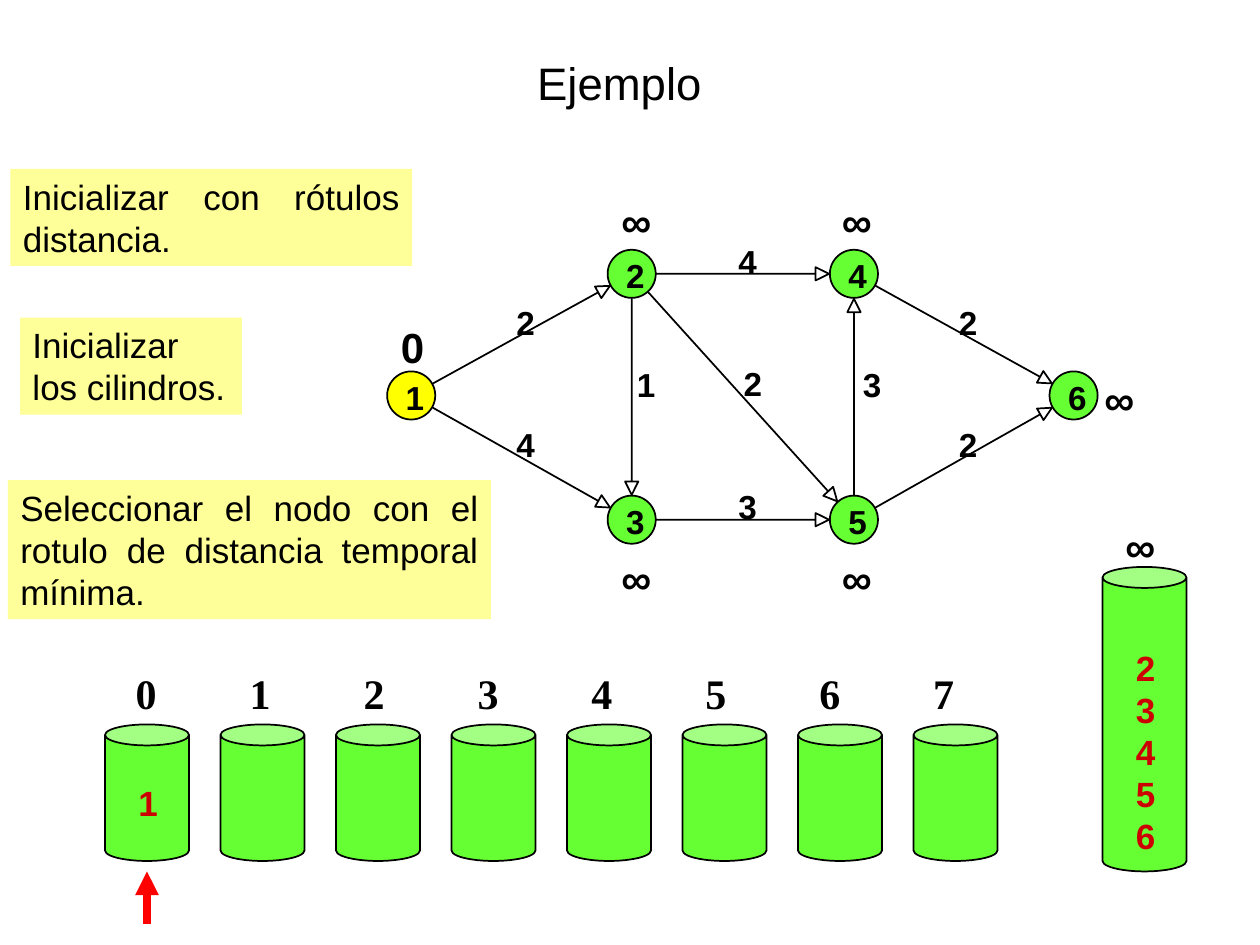
from dataclasses import dataclass
from math import hypot

from lxml.etree import SubElement
from pptx import Presentation
from pptx.dml.color import RGBColor
from pptx.enum.shapes import MSO_CONNECTOR, MSO_SHAPE
from pptx.enum.text import MSO_ANCHOR, PP_ALIGN
from pptx.oxml.ns import qn
from pptx.shapes.autoshape import Shape
from pptx.slide import Slide
from pptx.util import Pt


@dataclass(frozen=True)
class Theme:
    ink: RGBColor = RGBColor(0x00, 0x00, 0x00)
    green: RGBColor = RGBColor(0x66, 0xFF, 0x33)
    yellow: RGBColor = RGBColor(0xFF, 0xFF, 0x00)
    note: RGBColor = RGBColor(0xFF, 0xFF, 0x99)
    content: RGBColor = RGBColor(0xCC, 0x00, 0x00)
    pointer: RGBColor = RGBColor(0xFF, 0x00, 0x00)
    sans: str = "Arial"
    serif: str = "Times New Roman"
    title_size: float = 26
    distance_size: float = 24
    body_size: float = 20
    graph_size: float = 19
    outline: float = 1
    pointer_width: float = 4.5


THEME = Theme()


@dataclass(frozen=True)
class Box:
    left: float
    top: float
    width: float
    height: float

    def lengths(self) -> tuple[Pt, Pt, Pt, Pt]:
        return Pt(self.left), Pt(self.top), Pt(self.width), Pt(self.height)


@dataclass(frozen=True)
class Style:
    size: float
    bold: bool = True
    color: RGBColor = THEME.ink
    font: str = THEME.sans
    align: PP_ALIGN = PP_ALIGN.LEFT
    anchor: MSO_ANCHOR = MSO_ANCHOR.TOP
    inset: tuple[float, float] = (7.2, 3.6)
    wrap: bool = True


@dataclass(frozen=True)
class Node:
    x: float
    y: float
    distance: str
    distance_left: float
    distance_top: float
    fill: RGBColor = THEME.green


@dataclass(frozen=True)
class Edge:
    start: str
    end: str
    weight: str
    label_left: float
    label_top: float


@dataclass(frozen=True)
class Note:
    text: str
    box: Box


GRAPH_LABEL = Style(THEME.graph_size, inset=(0, 0), wrap=False)
DISTANCE = Style(THEME.distance_size)
BUCKET_NUMBER = Style(THEME.distance_size, font=THEME.serif)
BUCKET_CONTENT = Style(THEME.body_size, color=THEME.content)
NOTE = Style(THEME.body_size, bold=False, align=PP_ALIGN.JUSTIFY)
TITLE = Style(THEME.title_size, bold=False, align=PP_ALIGN.CENTER, anchor=MSO_ANCHOR.BOTTOM)

DIAMETER = 27.5
EDGE_GAP = 14.2
HEAD_LENGTH = 7.7
HEAD_HALF = 3.8

NODES = {
    "1": Node(235, 226, "0", 222, 180, THEME.yellow),
    "2": Node(361, 156.5, "∞", 348, 108),
    "3": Node(361, 297, "∞", 348, 312),
    "4": Node(488, 156.5, "∞", 474, 108),
    "5": Node(488, 297, "∞", 474, 312),
    "6": Node(613.5, 226, "∞", 624, 210),
}
EDGES = [
    Edge("1", "2", "2", 295, 173),
    Edge("2", "4", "4", 422, 138),
    Edge("2", "5", "2", 425, 207.5),
    Edge("2", "3", "1", 364, 208),
    Edge("3", "5", "3", 422, 278),
    Edge("1", "3", "4", 295, 242.5),
    Edge("4", "6", "2", 548, 173),
    Edge("5", "4", "3", 493, 208),
    Edge("5", "6", "2", 548, 242.5),
]
NOTES = [
    Note("Inicializar con rótulos distancia.", Box(6, 96.5, 229.5, 55.5)),
    Note("Inicializar los cilindros.", Box(11.5, 181.5, 126.7, 55.5)),
    Note("Seleccionar el nodo con el rotulo de distancia temporal mínima.",
         Box(4.5, 274.3, 276, 79.5)),
]


def write(shape: Shape, text: str, style: Style) -> None:
    frame = shape.text_frame
    frame.word_wrap = style.wrap
    frame.vertical_anchor = style.anchor
    frame.margin_left = frame.margin_right = Pt(style.inset[0])
    frame.margin_top = frame.margin_bottom = Pt(style.inset[1])
    frame.text = text
    paragraph = frame.paragraphs[0]
    paragraph.alignment = style.align
    paragraph.font.name = style.font
    paragraph.font.size = Pt(style.size)
    paragraph.font.bold = style.bold
    paragraph.font.color.rgb = style.color


def add_text(slide: Slide, text: str, box: Box, style: Style) -> None:
    write(slide.shapes.add_textbox(*box.lengths()), text, style)


def outline(shape: Shape) -> None:
    shape.shadow.inherit = False
    shape.line.color.rgb = THEME.ink
    shape.line.width = Pt(THEME.outline)


def add_solid(slide: Slide, kind: MSO_SHAPE, box: Box, fill: RGBColor) -> Shape:
    solid = slide.shapes.add_shape(kind, *box.lengths())
    outline(solid)
    solid.fill.solid()
    solid.fill.fore_color.rgb = fill
    return solid


def add_cylinder(slide: Slide, box: Box) -> None:
    add_solid(slide, MSO_SHAPE.CAN, box, THEME.green).adjustments[0] = 0.25


def add_note(slide: Slide, note: Note) -> None:
    panel = add_solid(slide, MSO_SHAPE.RECTANGLE, note.box, THEME.note)
    panel.line.fill.background()
    write(panel, note.text, NOTE)


def add_node(slide: Slide, name: str, node: Node) -> None:
    left, top = node.x - DIAMETER / 2, node.y - DIAMETER / 2
    add_solid(slide, MSO_SHAPE.OVAL, Box(left, top, DIAMETER, DIAMETER), node.fill)
    add_text(slide, name, Box(left + 10.6, top + 3.2, 10.8, 23), GRAPH_LABEL)
    add_text(slide, node.distance, Box(node.distance_left, node.distance_top, 30, 36), DISTANCE)


def add_edge(slide: Slide, edge: Edge) -> None:
    start, end = NODES[edge.start], NODES[edge.end]
    span = hypot(end.x - start.x, end.y - start.y)
    ux, uy = (end.x - start.x) / span, (end.y - start.y) / span

    def point(along: float, across: float = 0) -> tuple[Pt, Pt]:
        return Pt(start.x + ux * along - uy * across), Pt(start.y + uy * along + ux * across)

    tip = span - EDGE_GAP
    neck = tip - HEAD_LENGTH
    builder = slide.shapes.build_freeform(*point(EDGE_GAP), scale=1.0)
    builder.add_line_segments(
        [point(neck), point(neck, HEAD_HALF), point(tip), point(neck, -HEAD_HALF), point(neck)],
        close=True)
    arrow = builder.convert_to_shape()
    outline(arrow)
    arrow.fill.background()
    add_text(slide, edge.weight, Box(edge.label_left, edge.label_top, 10.8, 23), GRAPH_LABEL)


def add_pointer(slide: Slide, x: float, bottom: float, top: float) -> None:
    pointer = slide.shapes.add_connector(
        MSO_CONNECTOR.STRAIGHT, Pt(x), Pt(bottom), Pt(x), Pt(top))
    pointer.line.color.rgb = THEME.pointer
    pointer.line.width = Pt(THEME.pointer_width)
    SubElement(pointer.line._get_or_add_ln(), qn("a:tailEnd"), type="triangle")
    SubElement(pointer._element.spPr, qn("a:effectLst"))


def main() -> None:
    deck = Presentation()
    deck.slide_width, deck.slide_height = Pt(720), Pt(540)
    slide = deck.slides.add_slide(deck.slide_layouts[6])

    add_text(slide, "Ejemplo", Box(48, 12, 612, 54), TITLE)
    for edge in EDGES:
        add_edge(slide, edge)
    for name, node in NODES.items():
        add_node(slide, name, node)
    for note in NOTES:
        add_note(slide, note)

    for number in range(8):
        add_cylinder(slide, Box(60 + 66 * number, 414, 48, 78))
        add_text(slide, str(number), Box(70.5 + 65.1 * number, 378, 36, 36), BUCKET_NUMBER)
    add_text(slide, "1", Box(72, 443, 24, 31.5), BUCKET_CONTENT)

    add_cylinder(slide, Box(630, 324, 48, 174))
    add_text(slide, "∞", Box(636, 294, 30, 36), DISTANCE)
    for row, name in enumerate("23456"):
        add_text(slide, name, Box(642, 366 + 24 * row, 24, 31.5), BUCKET_CONTENT)

    add_pointer(slide, 84, 528, 498)
    deck.save("out.pptx")


if __name__ == "__main__":
    main()
